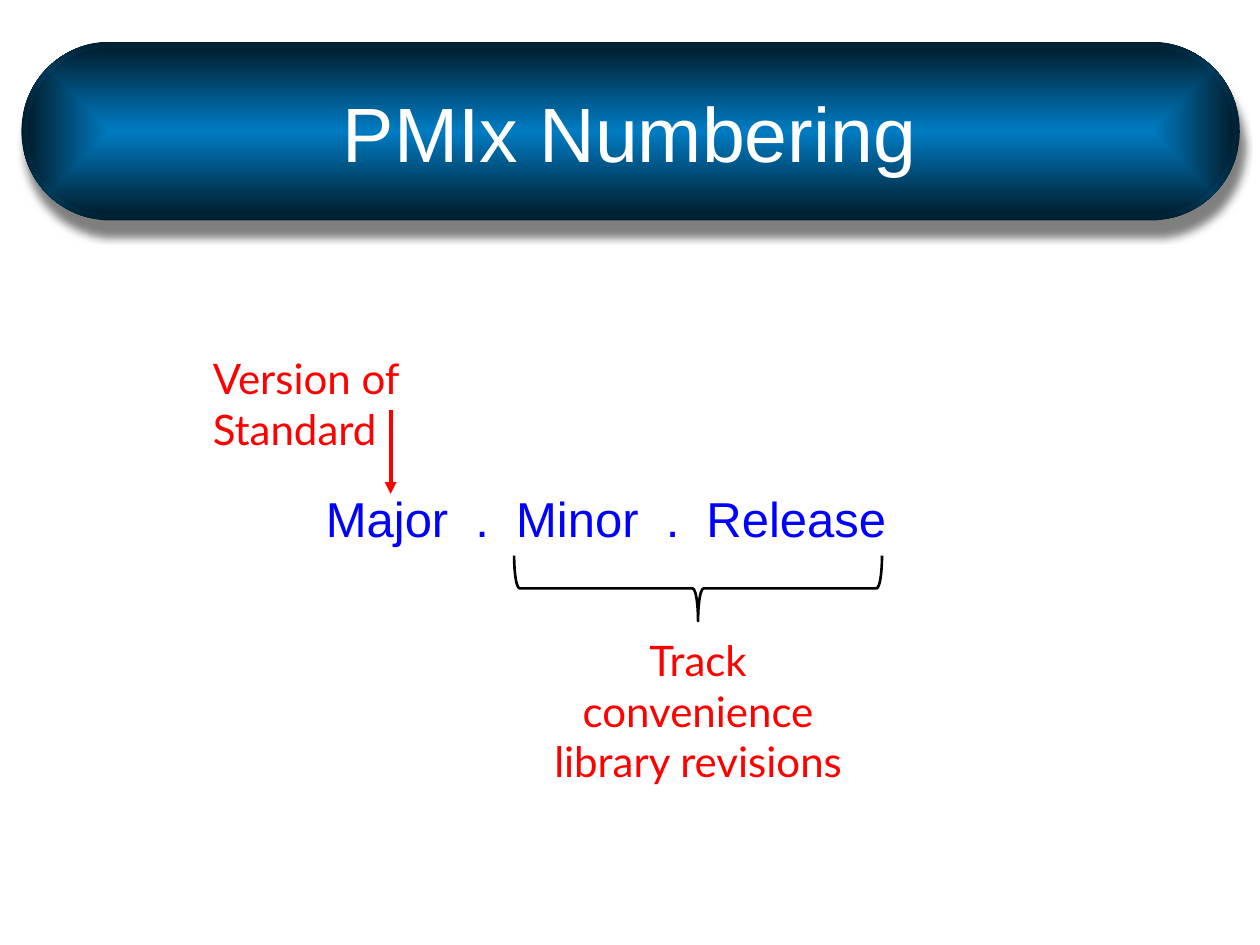
import pptx
import pptx.dml.color
import pptx.enum.shapes
import pptx.enum.text
import pptx.oxml
import pptx.oxml.ns
import pptx.util
from pptx.util import Inches

RGBColor = pptx.dml.color.RGBColor
MSO_SHAPE = pptx.enum.shapes.MSO_SHAPE
PP_ALIGN = pptx.enum.text.PP_ALIGN
MSO_ANCHOR = pptx.enum.text.MSO_ANCHOR

WHITE = RGBColor(0xFF, 0xFF, 0xFF)
BLACK = RGBColor(0, 0, 0)
RED = RGBColor(0xFF, 0, 0)
BLUE = RGBColor(0, 0, 0xFF)
BANNER_CENTRE = RGBColor(0x00, 0x7C, 0xC3)
BANNER_EDGE = RGBColor(0x01, 0x1F, 0x30)
NS = pptx.oxml.ns.nsdecls("a")


def add_label(slide, box, text, size, font, color, align=PP_ALIGN.CENTER, wrap=True):
    label = slide.shapes.add_textbox(*map(Inches, box))
    frame = label.text_frame
    frame.word_wrap = wrap
    frame.text = text
    paragraph = frame.paragraphs[0]
    paragraph.alignment = align
    run_font = paragraph.runs[0].font
    run_font.size = pptx.util.Pt(size)
    run_font.name = font
    run_font.color.rgb = color
    return label


def add_pill(slide, left, top, width, height):
    """Add a fully rounded bar shaded from a bright centre to a dark rim."""
    pill = slide.shapes.add_shape(
        MSO_SHAPE.ROUNDED_RECTANGLE, *map(Inches, (left, top, width, height)))
    pill.adjustments[0] = 0.5
    pill.shadow.inherit = False
    pill.line.fill.background()
    pill.fill.gradient()
    for stop, color, position in zip(
            pill.fill.gradient_stops, (BANNER_CENTRE, BANNER_EDGE), (0, 1)):
        stop.color.rgb = color
        stop.position = position
    linear = pill.element.spPr.find(".//" + pptx.oxml.ns.qn("a:lin"))
    linear.getparent().replace(linear, pptx.oxml.parse_xml(
        f'<a:path {NS} path="shape">'
        '<a:fillToRect l="50000" t="50000" r="50000" b="50000"/></a:path>'))
    return pill


def add_banner(slide, left, top, width, height, title):
    rim = 0.05
    outer = add_pill(slide, left, top, width, height)
    effects = outer.element.spPr.find(pptx.oxml.ns.qn("a:effectLst"))
    effects.append(pptx.oxml.parse_xml(
        f'<a:outerShdw {NS} blurRad="63500" dist="116840" dir="4620000" '
        'algn="ctr" rotWithShape="0"><a:srgbClr val="000000">'
        '<a:alpha val="50000"/></a:srgbClr></a:outerShdw>'))
    add_pill(slide, left + rim, top + rim, width - 2 * rim, height - 2 * rim)
    heading = add_label(slide, (left + 0.58, top + 0.09, 8.5, 1.25),
                        title, 44, "Arial", WHITE)
    heading.text_frame.vertical_anchor = MSO_ANCHOR.MIDDLE


def add_arrow(slide, x, top, bottom):
    arrow = slide.shapes.add_connector(
        pptx.enum.shapes.MSO_CONNECTOR.STRAIGHT, *map(Inches, (x, top, x, bottom)))
    arrow.line.color.rgb = RED
    arrow.line.width = pptx.util.Pt(2.25)
    arrow.line._get_or_add_ln().append(
        pptx.oxml.parse_xml(f'<a:tailEnd {NS} type="triangle"/>'))
    arrow.element.spPr.append(pptx.oxml.parse_xml(f"<a:effectLst {NS}/>"))


def add_brace_below(slide, left, top, width, height):
    """Turn a right brace by 90 degrees so that it fills the given box."""
    brace = slide.shapes.add_shape(
        MSO_SHAPE.RIGHT_BRACE,
        Inches(left + (width - height) / 2), Inches(top + (height - width) / 2),
        Inches(height), Inches(width))
    brace.rotation = 90
    brace.shadow.inherit = False
    brace.fill.background()
    brace.line.color.rgb = BLACK
    brace.line.width = pptx.util.Pt(1.5)


def add_numbering_scheme(slide, left, top):
    add_label(slide, (left + 0.87, top + 1.08, 4.7, 0.57),
              "Major  .  Minor  .  Release", 28, "Arial", BLUE, wrap=False)
    version = add_label(slide, (left, top, 3.01, 0.5), "Version of Standard",
                        24, "Lato", RED, PP_ALIGN.LEFT)
    version.text_frame.margin_right = Inches(0.4)
    add_arrow(slide, left + 1.51, top + 0.5, top + 1.17)
    add_brace_below(slide, left + 2.49, top + 1.66, 2.92, 0.52)
    add_label(slide, (left + 2.56, top + 2.24, 2.78, 0.91),
              "Track convenience library revisions", 24, "Lato", RED)


def main():
    deck = pptx.Presentation()
    deck.slide_width, deck.slide_height = Inches(10), Inches(7.5)
    slide = deck.slides.add_slide(deck.slide_layouts[6])
    add_banner(slide, 0.17, 0.33, 9.67, 1.42, "PMIx Numbering")
    add_numbering_scheme(slide, 1.59, 2.75)
    deck.save("out.pptx")


if __name__ == "__main__":
    main()
